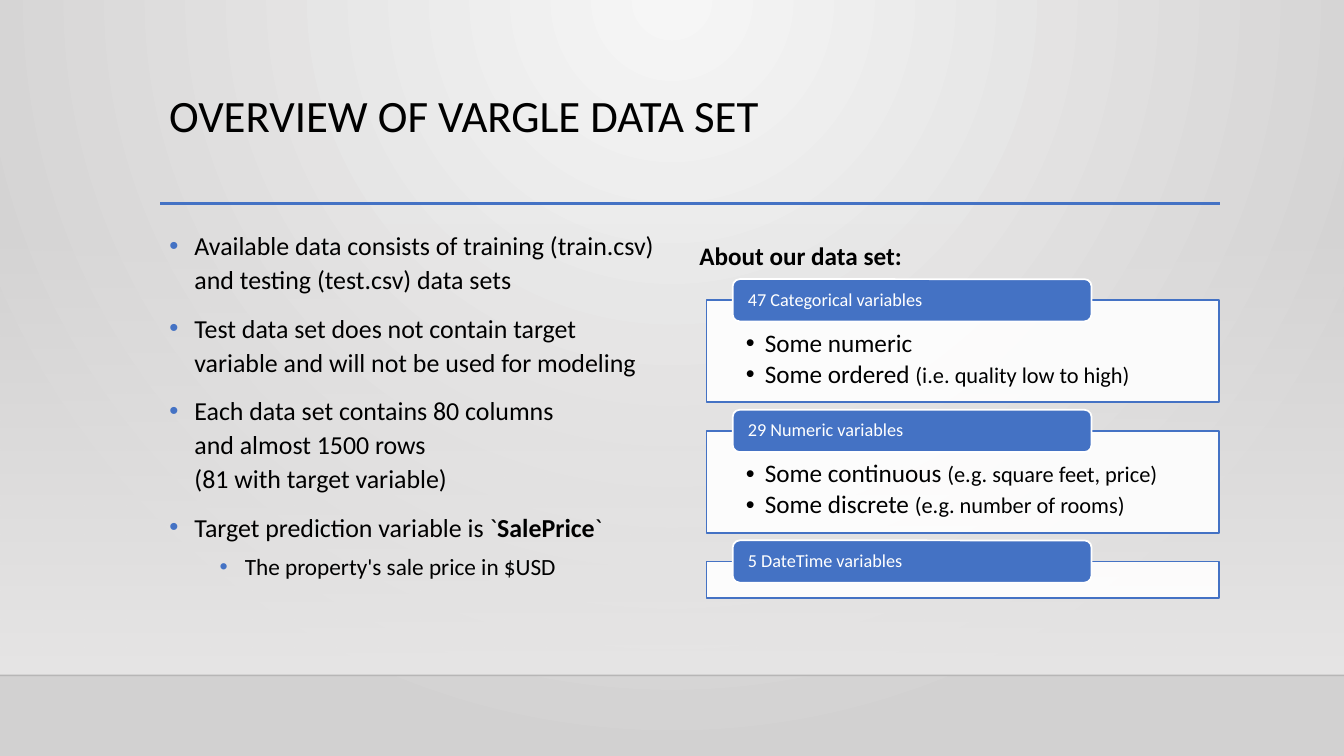
from lxml.etree import SubElement
from pptx import Presentation
from pptx.dml.color import RGBColor
from pptx.enum.shapes import MSO_CONNECTOR, MSO_SHAPE
from pptx.enum.text import MSO_ANCHOR, PP_ALIGN
from pptx.oxml.ns import qn
from pptx.util import Pt

THEME = {
    "font": "Calibri",
    "ink": "000000", "accent": "4472C4", "paper": "FFFFFF",
    "glow": "F6F6F6", "edge": "D2D1D1", "wall": "E7E6E6", "floor": "000001",
    "title": 32, "body": 18.5, "sub": 16.6, "heading": 18,
    "detail": 18, "aside": 16, "tag": 13,
}
SLIDE_W, SLIDE_H = 960, 540

TITLE = "OVERVIEW OF VARGLE DATA SET"
POINTS = [
    ("main", [("Available data consists of training (train.csv) and testing (test.csv) data sets",)]),
    ("main", [("Test data set does not contain target variable and will not be used for modeling",)]),
    ("main", [("Each data set contains 80 columns\nand almost 1500 rows\n(81 with target variable)",)]),
    ("main", [("Target prediction variable is `",), ("SalePrice", {"bold": True}), ("`",)]),
    ("sub", [("The property's sale price in $USD", {"size": "sub"})]),
]
HEADING = "About our data set:"
ASIDE = {"size": "aside"}
GROUPS = [
    ("47 Categorical variables", [
        [("Some numeric",)],
        [("Some ordered ",), ("(i.e. quality low to high)", ASIDE)],
    ]),
    ("29 Numeric variables", [
        [("Some continuous ",), ("(e.g. square feet, price)", ASIDE)],
        [("Some discrete ",), ("(e.g. number of rooms)", ASIDE)],
    ]),
    ("5 DateTime variables", []),
]
INDENTS = {"main": (18, 10), "sub": (54, 5)}


def rgb(name):
    return RGBColor.from_string(THEME[name])


def set_alpha(element, *percents):
    for color, percent in zip(element.xpath(".//a:srgbClr"), percents):
        SubElement(color, qn("a:alpha"), val=str(percent * 1000))


def add_bullet(paragraph, margin, hang, color):
    props = paragraph._p.get_or_add_pPr()
    props.set("marL", str(Pt(margin)))
    props.set("indent", str(-Pt(hang)))
    SubElement(SubElement(props, qn("a:buClr")), qn("a:srgbClr"), val=THEME[color])
    SubElement(props, qn("a:buFont"), typeface="Arial")
    SubElement(props, qn("a:buChar"), char="•")


def write(frame, runs, first=True, size="body", color="ink", bold=False,
          spacing=1.0, before=0, after=0, bullet=None):
    paragraph = frame.paragraphs[0] if first else frame.add_paragraph()
    paragraph.alignment = PP_ALIGN.LEFT
    paragraph.line_spacing = spacing
    paragraph.space_before, paragraph.space_after = Pt(before), Pt(after)
    if bullet:
        add_bullet(paragraph, *bullet)
    for words, *own in runs:
        look = {"size": size, "bold": bold, **(own[0] if own else {})}
        for number, line in enumerate(words.split("\n")):
            if number:
                paragraph.add_line_break()
            run = paragraph.add_run()
            run.text = line
            run.font.name = THEME["font"]
            run.font.size = Pt(THEME[look["size"]])
            run.font.bold = look["bold"]
            run.font.color.rgb = rgb(color)


def set_frame(frame, insets, anchor=MSO_ANCHOR.TOP, wrap=True):
    frame.word_wrap = wrap
    frame.vertical_anchor = anchor
    frame.margin_left, frame.margin_top, frame.margin_right, frame.margin_bottom = map(Pt, insets)
    return frame


def add_text_box(slide, box, wrap=True):
    return set_frame(slide.shapes.add_textbox(*map(Pt, box)).text_frame, (7.2, 3.6, 7.2, 3.6), wrap=wrap)


def add_panel(slide, kind, box, fill, line):
    panel = slide.shapes.add_shape(kind, *map(Pt, box))
    panel.shadow.inherit = False
    panel.fill.solid()
    panel.fill.fore_color.rgb = rgb(fill)
    panel.line.color.rgb = rgb(line)
    panel.line.width = Pt(1.25)
    return panel


def add_rule(slide, left, right, y, color, width):
    rule = slide.shapes.add_connector(MSO_CONNECTOR.STRAIGHT, Pt(left), Pt(y), Pt(right), Pt(y))
    rule.line.color.rgb = rgb(color)
    rule.line.width = Pt(width)
    SubElement(rule._element.spPr, qn("a:effectLst"))
    return rule


def set_gradient(fill, colors):
    fill.gradient()
    for stop, color, position in zip(fill.gradient_stops, colors, (0, 1)):
        stop.color.rgb = rgb(color)
        stop.position = position


def add_backdrop(slide):
    set_gradient(slide.background.fill, ("glow", "edge"))
    gradient = slide._element.xpath(".//p:bgPr/a:gradFill")[0]
    for direction in gradient.xpath("./a:lin"):
        gradient.remove(direction)
    circle = SubElement(gradient, qn("a:path"), path="circle")
    SubElement(circle, qn("a:fillToRect"), l="43000", t="0", r="43000", b="100000")

    wall = slide.shapes.add_shape(MSO_SHAPE.RECTANGLE, *map(Pt, (0, 159.1, SLIDE_W, 323.3)))
    wall.shadow.inherit = False
    wall.line.fill.background()
    set_gradient(wall.fill, ("wall", "wall"))
    wall.fill.gradient_angle = 270
    set_alpha(wall._element.spPr, 0, 100)
    floor = add_rule(slide, 0, SLIDE_W, 482.4, "floor", 1)
    set_alpha(floor._element.spPr, 20)


def add_groups(slide):
    card_left, card_width = 504.7, 365.8
    tag_left, tag_width, tag_height = 523.4, 256.3, 30.2
    overlap, gap, top = 15.1, 5.5, 199.4
    for tag_text, details in GROUPS:
        card_top = top + overlap
        card_height = 72.7 if details else 26
        card = add_panel(slide, MSO_SHAPE.RECTANGLE,
                         (card_left, card_top, card_width, card_height), "paper", "accent")
        set_alpha(card._element.spPr, 90)
        if details:
            frame = set_frame(card.text_frame, (28.1, 21.6, 28.1, 10.1))
            for index, runs in enumerate(details):
                write(frame, runs, first=index == 0, size="detail", spacing=0.9,
                      after=2.7, bullet=(13.5, 13.5, "ink"))
        tag = add_panel(slide, MSO_SHAPE.ROUNDED_RECTANGLE,
                        (tag_left, top, tag_width, tag_height), "accent", "paper")
        frame = set_frame(tag.text_frame, (9.4, 0, 9.4, 0), MSO_ANCHOR.MIDDLE)
        write(frame, [(tag_text,)], size="tag", color="paper", spacing=0.9)
        top = card_top + card_height + gap


def main():
    deck = Presentation()
    deck.slide_width, deck.slide_height = Pt(SLIDE_W), Pt(SLIDE_H)
    slide = deck.slides.add_slide(deck.slide_layouts[6])
    add_backdrop(slide)
    add_rule(slide, 114.5, 871.2, 145.4, "accent", 2.5)
    write(add_text_box(slide, (113.8, 63.4, 756, 83.5)), [(TITLE,)], size="title", spacing=0.9)
    points = add_text_box(slide, (113.8, 158.4, 365.8, 271.4))
    for index, (level, runs) in enumerate(POINTS):
        margin, before = INDENTS[level]
        write(points, runs, first=index == 0, spacing=1.1, before=before,
              bullet=(margin, 18, "accent"))
    add_groups(slide)
    heading = add_text_box(slide, (492.5, 167.8, 180, 28.8), wrap=False)
    write(heading, [(HEADING,)], size="heading", bold=True)
    deck.save("out.pptx")


if __name__ == "__main__":
    main()
